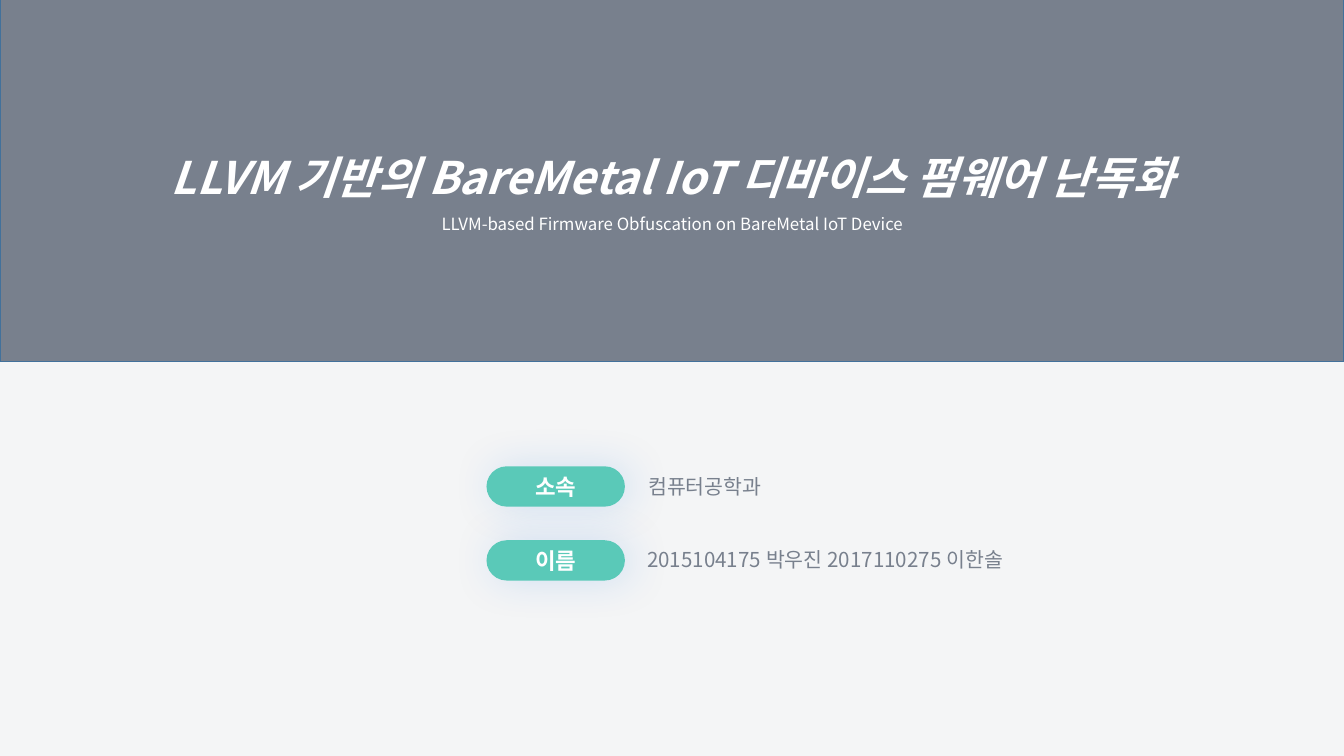
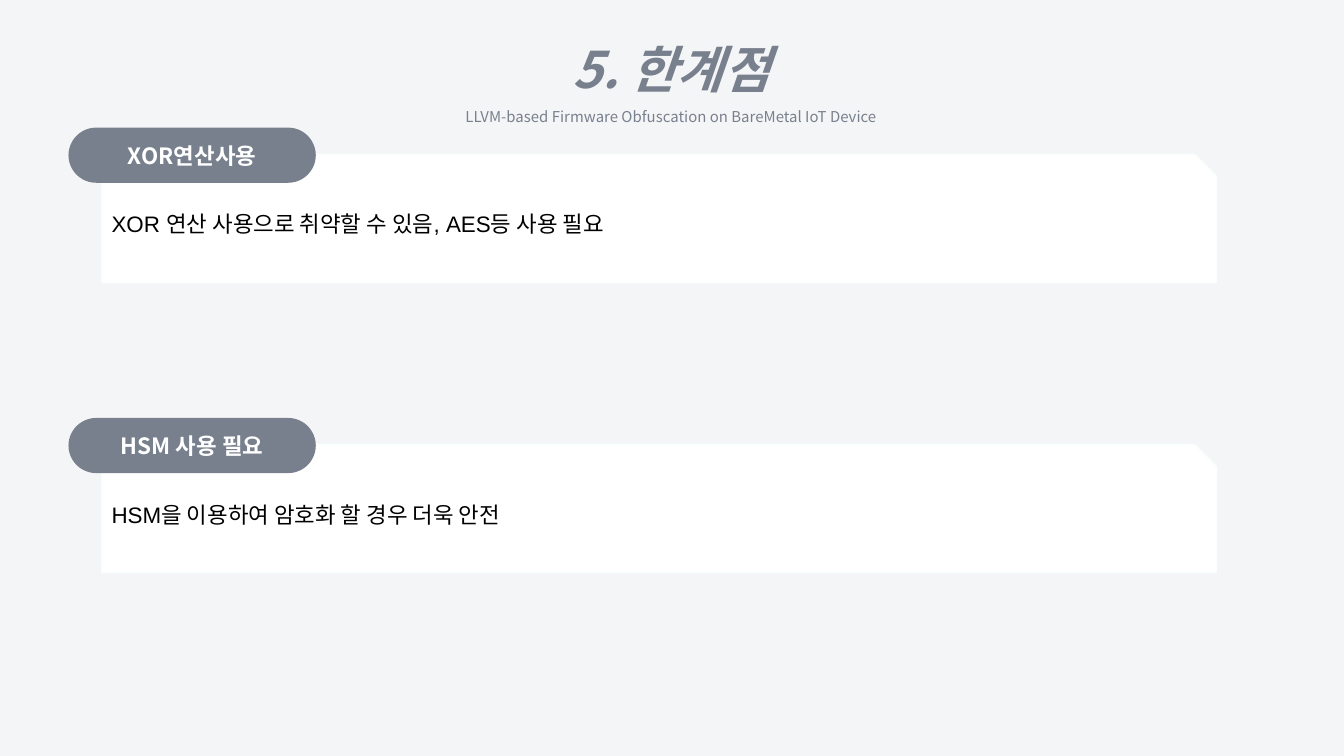
from dataclasses import dataclass, replace
from lxml.etree import SubElement
from pptx import Presentation
from pptx.dml.color import RGBColor
from pptx.enum.shapes import MSO_SHAPE
from pptx.enum.text import MSO_ANCHOR, MSO_AUTO_SIZE, PP_ALIGN
from pptx.oxml.ns import qn
from pptx.util import Inches, Pt

WIDE, HIGH = Inches(10), Inches(5.625)
SANS, PLAIN = "Noto Sans CJK KR", "Arial"
SLATE, TEAL, WHITE, BLACK = "78808D", "5AC9B8", "FFFFFF", "000000"
GLOW, BLUE, EDGE = "1A73DE", "42719B", "F9FFFC"
MOTTO = "LLVM-based Firmware Obfuscation on BareMetal IoT Device"


@dataclass(frozen=True)
class Box:
    """Shares of the slide's width and height, in percent."""
    left: float
    top: float
    width: float
    height: float

    def down(self, step: float) -> "Box":
        return replace(self, top=self.top + step)


@dataclass(frozen=True)
class Style:
    size: float
    color: str
    font: str = SANS
    bold: bool = False
    slant: bool = False


@dataclass(frozen=True)
class Entry:
    label: str
    text: str
    box: Box


@dataclass(frozen=True)
class Point:
    label: str
    text: str


LABEL = Style(12, WHITE, bold=True)
FACT = Style(11, SLATE)
BODY = Style(12, BLACK, PLAIN)

BADGE, BADGE_STEP = Box(36.2, 61.69, 10.3, 5.33), 9.78
ENTRIES = [
    Entry("소속", "컴퓨터공학과", Box(46.5, 62.04, 11.9, 4.44)),
    Entry("이름", "2015104175 박우진 2017110275 이한솔", Box(46.5, 71.64, 29.8, 4.44)),
]

PANEL, TAB, PANEL_STEP = Box(7.6, 20.44, 82.9, 16.89), Box(5.1, 16.89, 18.4, 7.29), 38.4
POINTS = [
    Point("XOR연산사용", "XOR 연산 사용으로 취약할 수 있음, AES등 사용 필요"),
    Point("HSM 사용 필요", "HSM을 이용하여 암호화 할 경우 더욱 안전"),
]


def paint(target, color: str) -> None:
    target.solid()
    target.fore_color.rgb = RGBColor.from_string(color)


def place(box: Box) -> tuple[int, int, int, int]:
    return (round(WIDE * box.left / 100), round(HIGH * box.top / 100),
            round(WIDE * box.width / 100), round(HIGH * box.height / 100))


def outline(shape, color: str | None) -> None:
    if color is None:
        shape.line.fill.background()
        return
    paint(shape.line.fill, color)
    shape.line.width = Pt(1)


def frame(shape, anchor: MSO_ANCHOR):
    body = shape.text_frame
    body.word_wrap = True
    body.auto_size = MSO_AUTO_SIZE.NONE
    body.vertical_anchor = anchor
    body.margin_left = body.margin_right = Inches(0.07)
    body.margin_top = body.margin_bottom = Inches(0.04)
    return body


def write(para, text: str, style: Style, align: PP_ALIGN = PP_ALIGN.CENTER,
          lead: float = 1) -> None:
    para.alignment, para.line_spacing = align, lead
    para.space_before = para.space_after = Pt(0)
    run = para.add_run()
    run.text = text
    font = run.font
    font.name, font.size = style.font, Pt(style.size)
    font.bold, font.italic = style.bold, style.slant
    paint(font.fill, style.color)
    SubElement(font._element, qn("a:ea")).set("typeface", SANS)


def title(slide, box: Box, text: str, head: Style, sub: Style, anchor: MSO_ANCHOR):
    shape = slide.shapes.title
    shape.left, shape.top, shape.width, shape.height = place(box)
    body = frame(shape, anchor)
    write(body.paragraphs[0], text, head, lead=1.5)
    write(body.add_paragraph(), MOTTO, sub, lead=1.5)
    return shape


def block(slide, kind: MSO_SHAPE, box: Box, fill: str, text: str, style: Style,
          bend: float = 0.5, align: PP_ALIGN = PP_ALIGN.CENTER, edge: str | None = None):
    shape = slide.shapes.add_shape(kind, *place(box))
    shape.shadow.inherit = False
    shape.adjustments[0] = bend
    paint(shape.fill, fill)
    outline(shape, edge)
    write(frame(shape, MSO_ANCHOR.MIDDLE).paragraphs[0], text, style, align)
    return shape


def pill(slide, box: Box, fill: str, text: str):
    return block(slide, MSO_SHAPE.ROUNDED_RECTANGLE, box, fill, text, LABEL)


def glow(shape) -> None:
    effects = shape._element.spPr.find(qn("a:effectLst"))
    shadow = SubElement(effects, qn("a:outerShdw"), blurRad=str(Pt(23)),
                        dist=str(Pt(3)), dir="0", algn="ctr", rotWithShape="0")
    color = SubElement(shadow, qn("a:srgbClr"), val=GLOW)
    SubElement(color, qn("a:alpha"), val="17000")


def note(slide, box: Box, text: str) -> None:
    shape = slide.shapes.add_textbox(*place(box))
    write(frame(shape, MSO_ANCHOR.TOP).paragraphs[0], text, FACT)


def page(deck, back: str):
    slide = deck.slides.add_slide(deck.slide_layouts[5])
    paint(slide.background.fill, back)
    return slide


def cover(deck) -> None:
    slide = page(deck, "F4F5F6")
    band = title(slide, Box(0, -0.71, 100, 48.53),
                 "LLVM 기반의 BareMetal IoT 디바이스 펌웨어 난독화",
                 Style(24, WHITE, bold=True, slant=True), Style(9, WHITE),
                 MSO_ANCHOR.MIDDLE)
    paint(band.fill, SLATE)
    outline(band, BLUE)
    for row, entry in enumerate(ENTRIES):
        glow(pill(slide, BADGE.down(row * BADGE_STEP), TEAL, entry.label))
        note(slide, entry.box, entry.text)


def limits(deck) -> None:
    slide = page(deck, "F4F5F7")
    title(slide, Box(25.6, 0.36, 48.7, 16.89), "5. 한계점",
          Style(27, SLATE, bold=True, slant=True), Style(8, SLATE), MSO_ANCHOR.TOP)
    for row, point in enumerate(POINTS):
        step = row * PANEL_STEP
        block(slide, MSO_SHAPE.SNIP_1_RECTANGLE, PANEL.down(step), WHITE, point.text,
              BODY, 0.17, PP_ALIGN.LEFT, EDGE)
        pill(slide, TAB.down(step), SLATE, point.label)


def main() -> None:
    deck = Presentation()
    deck.slide_width, deck.slide_height = WIDE, HIGH
    cover(deck)
    limits(deck)
    deck.save("out.pptx")


if __name__ == "__main__":
    main()
